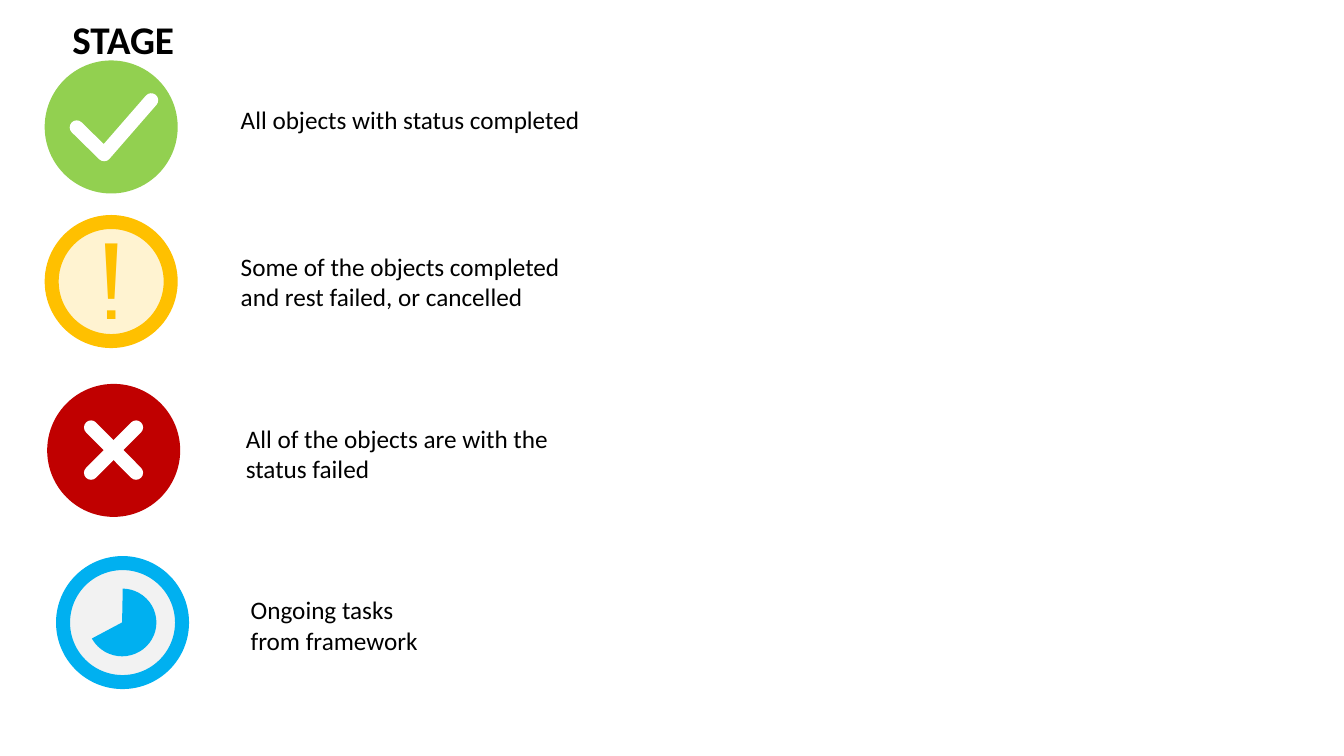
"""Build a legend slide that explains the four stage status icons."""
from dataclasses import dataclass
from typing import Any

from lxml import etree
from pptx import Presentation
from pptx.dml.color import RGBColor
from pptx.enum import shapes, text
from pptx.oxml import ns
from pptx.util import Pt

COLORS = {
    "black": "000000", "white": "FFFFFF", "green": "92D050", "amber": "FFC000",
    "red": "C00000", "blue": "00B0F0", "ink": "0D0D0D",
}
DIAMETER = 85
STROKE = 10


@dataclass
class Label:
    words: str
    left: float
    top: float
    width: float
    height: float
    size: int = 18
    bold: bool = False
    font: str = "Calibri"
    color: str = "black"
    margin: tuple[float, float] = (7.2, 3.6)
    align: Any = text.PP_ALIGN.LEFT


@dataclass
class Badge:
    left: float
    top: float
    fill: str
    ring: str
    opacity: int = 100


def rgb(name: str) -> RGBColor:
    return RGBColor.from_string(COLORS[name])


def apply_format(target: Any, values: dict[str, Any]) -> None:
    for name, value in values.items():
        setattr(target, name, value)


def draw_label(container: Any, label: Label) -> None:
    box = container.add_textbox(*map(Pt, (label.left, label.top, label.width, label.height)))
    side, edge = map(Pt, label.margin)
    frame = box.text_frame
    apply_format(frame, {
        "word_wrap": True, "auto_size": text.MSO_AUTO_SIZE.SHAPE_TO_FIT_TEXT,
        "margin_left": side, "margin_right": side, "margin_top": edge, "margin_bottom": edge,
    })
    paragraph = frame.paragraphs[0]
    paragraph.alignment = label.align
    run = paragraph.add_run()
    run.text = label.words
    apply_format(run.font, {"name": label.font, "size": Pt(label.size), "bold": label.bold})
    run.font.color.rgb = rgb(label.color)


def paint_fill(shape: Any, color: str, opacity: int = 100) -> None:
    shape.shadow.inherit = False
    shape.fill.solid()
    shape.fill.fore_color.rgb = rgb(color)
    if opacity < 100:
        swatch = shape.fill._xPr.find(f".//{ns.qn('a:srgbClr')}")
        etree.SubElement(swatch, ns.qn("a:alpha"), val=str(opacity * 1000))


def draw_badge(slide: Any, badge: Badge) -> Any:
    group = slide.shapes.add_group_shape().shapes
    disc = group.add_shape(shapes.MSO_SHAPE.OVAL, Pt(badge.left), Pt(badge.top),
                           Pt(DIAMETER), Pt(DIAMETER))
    paint_fill(disc, badge.fill, badge.opacity)
    disc.line.color.rgb = rgb(badge.ring)
    disc.line.width = Pt(STROKE)
    return group


def round_stroke(shape: Any) -> None:
    shape.line.color.rgb = rgb("white")
    shape.line.width = Pt(STROKE)
    outline = shape.line._get_or_add_ln()
    outline.set("cap", "rnd")
    etree.SubElement(outline, ns.qn("a:round"))


def draw_tick(group: Any) -> None:
    start, *rest = [(Pt(x), Pt(y)) for x, y in ((54.8, 91), (74.4, 110.2), (108, 71.6))]
    builder = group.build_freeform(*start)
    builder.add_line_segments(rest, close=False)
    tick = builder.convert_to_shape()
    tick.shadow.inherit = False
    tick.fill.background()
    round_stroke(tick)


def draw_cross(group: Any) -> None:
    left, right, top, bottom = map(Pt, (65, 97.2, 305.3, 337.7))
    for start, end in ((top, bottom), (bottom, top)):
        bar = group.add_connector(shapes.MSO_CONNECTOR.STRAIGHT, left, start, right, end)
        round_stroke(bar)
        etree.SubElement(bar._element.spPr, ns.qn("a:effectLst"))


def draw_progress(group: Any) -> None:
    pie = group.add_shape(shapes.MSO_SHAPE.PIE, Pt(62.7), Pt(420.4), Pt(49), Pt(48.4))
    pie.adjustments[0], pie.adjustments[1] = 162.67, 91.22
    paint_fill(pie, "blue")
    pie.line.fill.background()


LABELS = [
    Label("STAGE", 44.6, 7.2, 349.2, 41, size=28, bold=True),
    Label("All objects with status completed", 164.9, 71.3, 271.4, 29),
    Label("Some of the objects completed and rest failed, or cancelled", 164.9, 175.7, 271.4, 51),
    Label("All of the objects are with the status failed", 168.5, 298.8, 271.4, 51),
    Label("Ongoing tasks from framework", 172, 421.2, 144, 72.7),
]
EXCLAMATION = Label("!", 64.8, 156.3, 29.5, 87.1, size=72, font="Cabin", color="amber",
                    margin=(0, 0), align=text.PP_ALIGN.CENTER)


def main() -> None:
    presentation = Presentation()
    apply_format(presentation, {"slide_width": Pt(960), "slide_height": Pt(540)})
    slide = presentation.slides.add_slide(presentation.slide_layouts[6])
    for label in LABELS:
        draw_label(slide.shapes, label)
    draw_tick(draw_badge(slide, Badge(36.9, 48.2, "green", "green")))
    draw_label(draw_badge(slide, Badge(36.9, 158.6, "amber", "amber", 18)), EXCLAMATION)
    draw_cross(draw_badge(slide, Badge(38.7, 279.2, "red", "red")))
    draw_progress(draw_badge(slide, Badge(45, 402.2, "ink", "blue", 5)))
    presentation.save("out.pptx")


if __name__ == "__main__":
    main()
